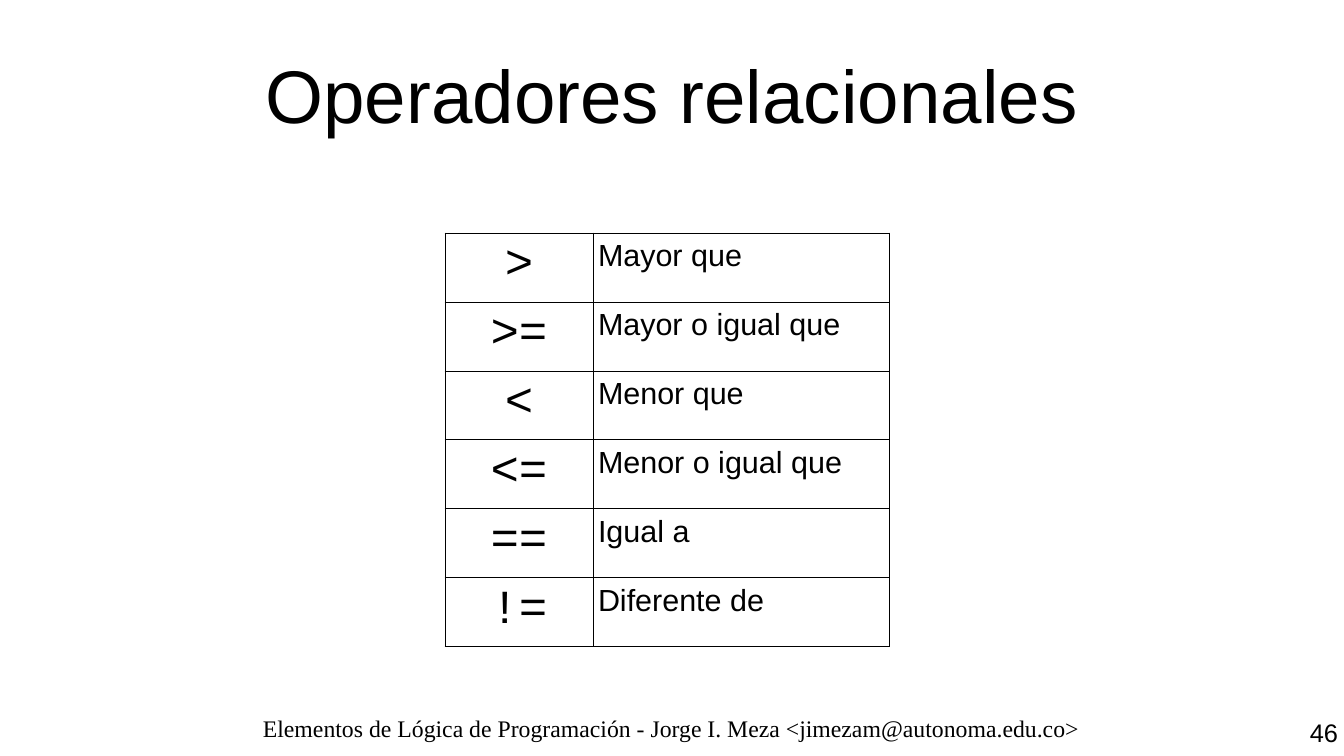
from lxml.etree import SubElement
from pptx import Presentation
from pptx.dml.color import RGBColor
from pptx.enum.text import MSO_ANCHOR, PP_ALIGN
from pptx.oxml.ns import qn
from pptx.util import Pt

EMU_PER_PX = 7495
COLORS = {"ink": "000000", "paper": "FFFFFF"}
OPERATORS = [
    (">", "Mayor que"),
    (">=", "Mayor o igual que"),
    ("<", "Menor que"),
    ("<=", "Menor o igual que"),
    ("==", "Igual a"),
    ("!=", "Diferente de"),
]


def px(*lengths):
    return [length * EMU_PER_PX for length in lengths]


class SlideBuilder:
    def __init__(self, deck):
        self.slide = deck.slides.add_slide(deck.slide_layouts[5])

    def style(self, frame, size, font, align):
        for para in frame.paragraphs:
            para.alignment = align
            for span in para.runs:
                span.font.size = Pt(size)
                span.font.name = font
                span.font.color.rgb = RGBColor.from_string(COLORS["ink"])

    def fill_frame(self, frame, text, size, font, align, margins=(0, 0, 0, 0)):
        frame.text = text
        (frame.margin_left, frame.margin_top,
         frame.margin_right, frame.margin_bottom) = px(*margins)
        self.style(frame, size, font, align)

    def title(self, text, left, top, width, height):
        box = self.slide.shapes.title
        box.left, box.top, box.width, box.height = px(left, top, width, height)
        box.text_frame.vertical_anchor = MSO_ANCHOR.MIDDLE
        self.fill_frame(box.text_frame, text, 44, "Arial", PP_ALIGN.CENTER)

    def text(self, text, bounds, size, font, align, margins=(0, 0, 0, 0)):
        box = self.slide.shapes.add_textbox(*px(*bounds))
        box.text_frame.word_wrap = True
        self.fill_frame(box.text_frame, text, size, font, align, margins)

    def border(self, cell):
        properties = cell._tc.get_or_add_tcPr()
        for side in ("lnL", "lnR", "lnT", "lnB"):
            line = SubElement(properties, qn(f"a:{side}"), w=str(Pt(0.57)))
            solid = SubElement(line, qn("a:solidFill"))
            SubElement(solid, qn("a:srgbClr"), val=COLORS["ink"])

    def table(self, rows, left, top, column_widths, row_height):
        bounds = px(left, top, sum(column_widths), row_height * len(rows))
        table = self.slide.shapes.add_table(
            len(rows), len(column_widths), *bounds).table
        table.first_row = table.horz_banding = False
        for column, width in zip(table.columns, px(*column_widths)):
            column.width = width
        styles = [(28, "Courier New", PP_ALIGN.CENTER),
                  (18, "Arial", PP_ALIGN.LEFT)]
        for row, texts in zip(table.rows, rows):
            row.height = row_height * EMU_PER_PX
            for cell, text, style in zip(row.cells, texts, styles):
                cell.text = text
                cell.margin_left, cell.margin_top = px(5, 6)
                cell.margin_right, cell.margin_bottom = px(5, 6)
                self.style(cell.text_frame, *style)
                self.border(cell)
                cell.fill.solid()
                cell.fill.fore_color.rgb = RGBColor.from_string(COLORS["paper"])


def main():
    deck = Presentation()
    deck.slide_width, deck.slide_height = px(1344, 756)
    page = SlideBuilder(deck)
    page.title("Operadores relacionales", 67, 30, 1210, 127)
    page.table(OPERATORS, 445, 233, (148, 296), 69)
    page.text("Elementos de Lógica de Programación - Jorge I. Meza "
              "<jimezam@autonoma.edu.co>",
              (62, 714, 1219, 42), 14, "Times New Roman", PP_ALIGN.CENTER)
    page.text("46", (1210, 711, 134, 45), 15, "Arial", PP_ALIGN.RIGHT,
              (12, 6, 6, 6))
    deck.save("out.pptx")


if __name__ == "__main__":
    main()
